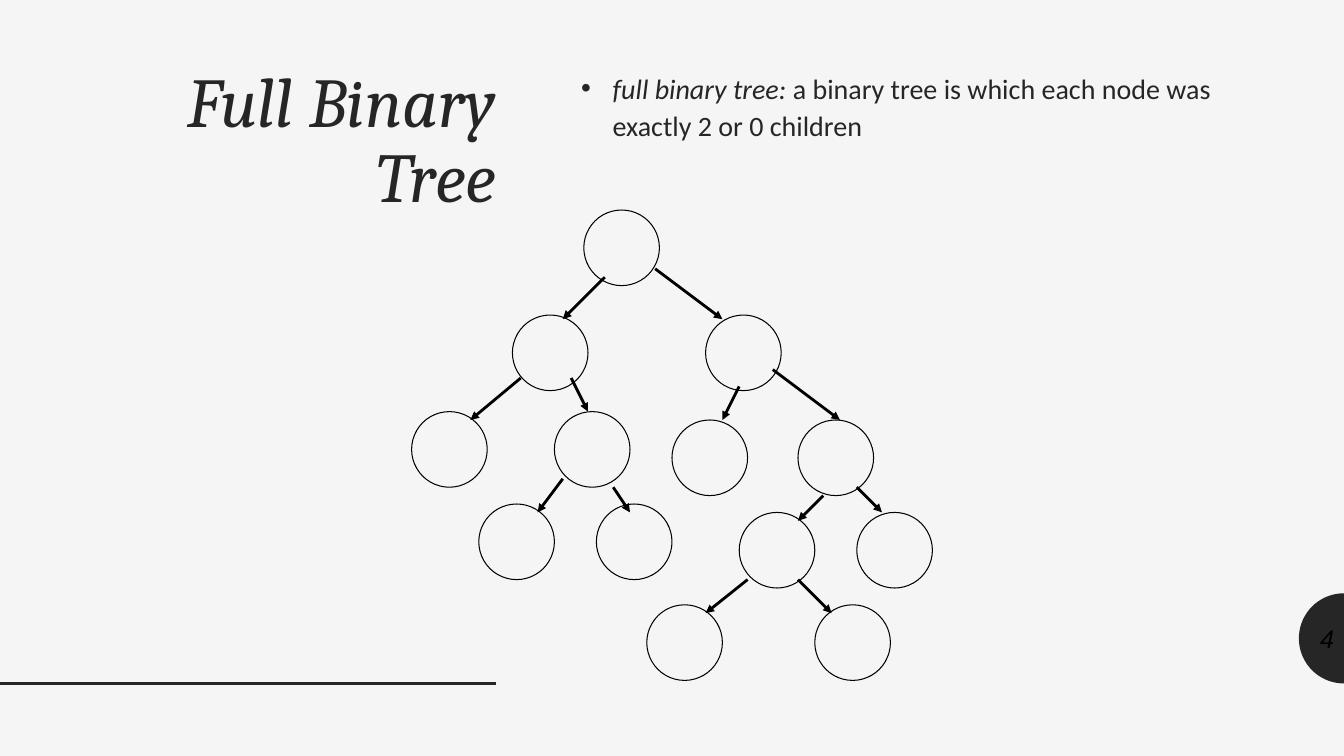
import math
import lxml.etree
import pptx
import pptx.dml.color
import pptx.enum.shapes
import pptx.enum.text
import pptx.oxml.ns
import pptx.util

Pt = pptx.util.Pt
ALIGN = pptx.enum.text.PP_ALIGN
ANCHOR = pptx.enum.text.MSO_ANCHOR
HUES = {"back": "F5F5F5", "dark": "262626", "ink": "000000"}
NODE = 54

NODES = [
    (417, 150),
    (366, 225), (504, 225),
    (294, 294), (396, 294), (480, 300), (570, 300),
    (342, 360), (426, 360), (528, 366), (612, 366),
    (462, 432), (582, 432),
]
EDGES = [
    (432, 198, 402, 228), (468, 192, 516, 228),
    (372, 270, 336, 300), (408, 270, 420, 294),
    (528, 276, 516, 300), (552, 264, 600, 300),
    (402, 342, 384, 366), (438, 348, 450, 366),
    (588, 354, 570, 372), (612, 348, 630, 366),
    (534, 414, 504, 438), (570, 414, 594, 438),
]


class Sketch:
    def __init__(self, slide):
        self.slide = slide
        self.shapes = slide.shapes

    def hue(self, name):
        return pptx.dml.color.RGBColor.from_string(HUES[name])

    def tag(self, parent, name, **attrs):
        return lxml.etree.SubElement(parent, pptx.oxml.ns.qn(name), attrs)

    def fill(self, target, name):
        target.fill.solid()
        target.fill.fore_color.rgb = self.hue(name)

    def text(self, x, y, w, h, words, size, face, hue="dark",
             align=ALIGN.LEFT, anchor=ANCHOR.TOP, space=1.0):
        box = self.shapes.add_textbox(Pt(x), Pt(y), Pt(w), Pt(h))
        frame = box.text_frame
        frame.word_wrap = True
        frame.vertical_anchor = anchor
        frame.text = words
        para = frame.paragraphs[0]
        para.alignment = align
        para.line_spacing = space
        self.font(para.runs[0], size, face, hue)
        return para

    def font(self, run, size, face, hue, slant=True):
        run.font.size = Pt(size)
        run.font.name = face
        run.font.italic = slant
        run.font.color.rgb = self.hue(hue)

    def bullet(self, para, indent):
        props = para._p.get_or_add_pPr()
        props.set("marL", str(Pt(indent)))
        props.set("indent", str(-Pt(indent)))
        self.tag(props, "a:buFont", typeface="Arial")
        self.tag(props, "a:buChar", char="•")

    def node(self, x, y):
        kind = pptx.enum.shapes.MSO_SHAPE.OVAL
        oval = self.shapes.add_shape(kind, Pt(x), Pt(y), Pt(NODE), Pt(NODE))
        oval.shadow.inherit = False
        oval.fill.background()
        oval.line.color.rgb = self.hue("ink")
        oval.line.width = Pt(0.75)

    def line(self, x1, y1, x2, y2, hue="ink", arrow=True):
        kind = pptx.enum.shapes.MSO_CONNECTOR.STRAIGHT
        line = self.shapes.add_connector(kind, Pt(x1), Pt(y1), Pt(x2), Pt(y2))
        line.line.color.rgb = self.hue(hue)
        line.line.width = Pt(2)
        props = line._element.spPr
        if arrow:
            self.tag(props.find(pptx.oxml.ns.qn("a:ln")), "a:tailEnd", type="triangle")
        self.tag(props, "a:effectLst")

    def half(self, x, y, radius):
        turns = [math.radians(90 + 5 * step) for step in range(37)]
        rim = [(Pt(x + radius * math.cos(t)), Pt(y + radius * math.sin(t))) for t in turns]
        path = self.shapes.build_freeform(*rim[0], scale=1.0)
        path.add_line_segments(rim[1:], close=True)
        tab = path.convert_to_shape()
        tab.shadow.inherit = False
        self.fill(tab, "dark")
        tab.line.fill.background()


def main():
    deck = pptx.Presentation()
    deck.slide_width, deck.slide_height = Pt(960), Pt(540)
    art = Sketch(deck.slides.add_slide(deck.slide_layouts[6]))
    art.fill(art.slide.background, "back")

    art.half(960, 456, 32.2)
    art.line(0, 488, 354, 488, "dark", arrow=False)
    art.text(928, 441.5, 32, 29, "4", 18, "Arial", "ink", ALIGN.RIGHT, ANCHOR.MIDDLE)
    art.text(60, 44, 301.5, 434, "Full Binary Tree", 50, "Cambria",
             align=ALIGN.RIGHT, space=0.9)

    para = art.text(408, 44.5, 492, 445, "full binary tree:", 20, "Calibri", space=1.12)
    art.bullet(para, 22.5)
    rest = para.add_run()
    rest.text = " a binary tree is which each node was exactly 2 or 0 children"
    art.font(rest, 20, "Calibri", "dark", slant=False)

    for spot in NODES:
        art.node(*spot)
    for ends in EDGES:
        art.line(*ends)
    deck.save("out.pptx")


if __name__ == "__main__":
    main()
